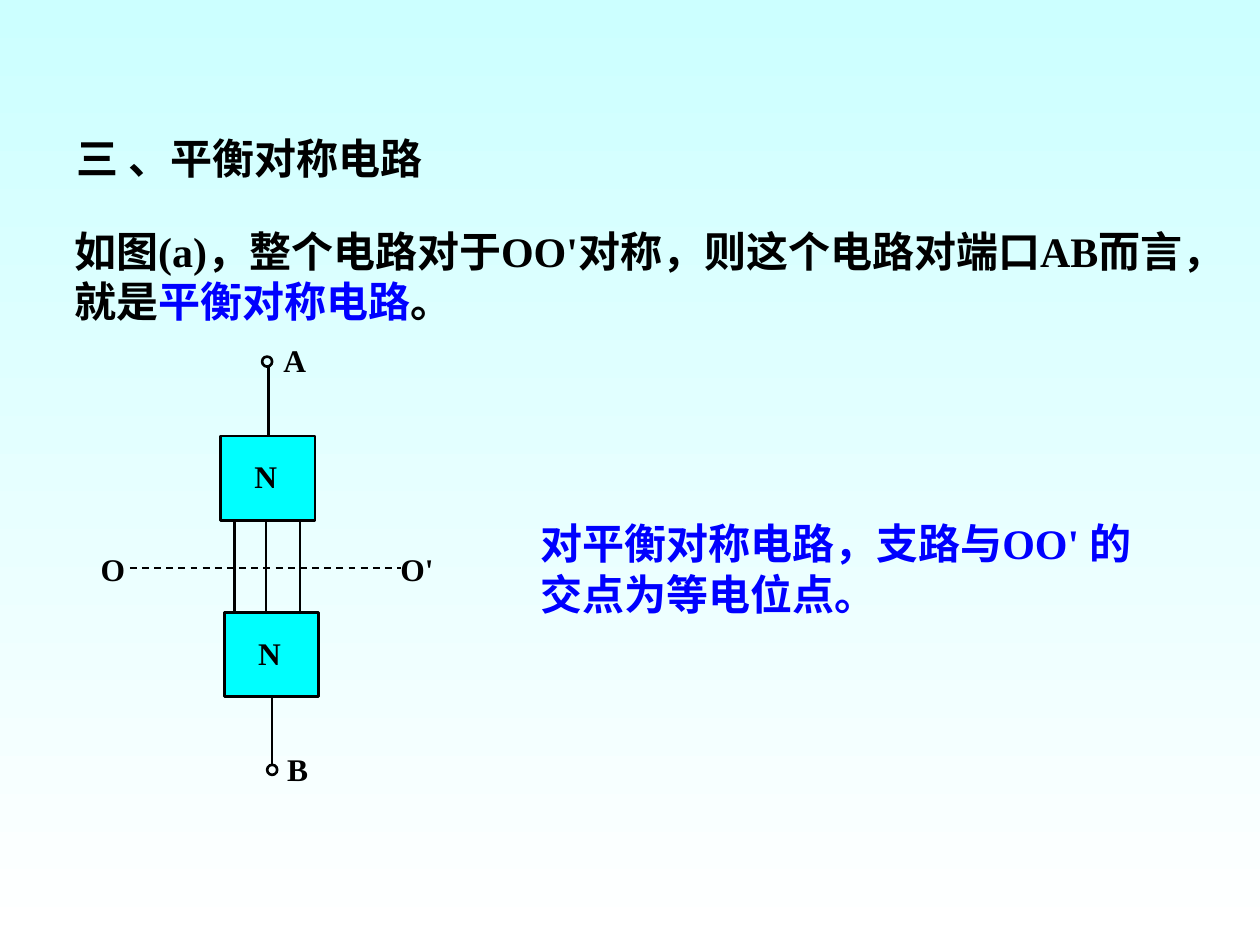
import pptx
import pptx.util
import pptx.dml.color
import pptx.enum.dml
import pptx.enum.shapes
import pptx.enum.text
import pptx.oxml
import pptx.oxml.ns

Inches = pptx.util.Inches
RGBColor = pptx.dml.color.RGBColor
SHAPE = pptx.enum.shapes.MSO_SHAPE

BLACK = RGBColor(0x00, 0x00, 0x00)
BLUE = RGBColor(0x00, 0x00, 0xFF)
CYAN = RGBColor(0x00, 0xFF, 0xFF)
PALE_CYAN = RGBColor(0xCC, 0xFF, 0xFF)
WHITE = RGBColor(0xFF, 0xFF, 0xFF)
FONT = "Times New Roman"


def write(para, text, size=24, color=BLACK):
    span = para.add_run()
    span.text = text
    span.font.name = FONT
    span.font.size = pptx.util.Pt(size)
    span.font.bold = True
    span.font.color.rgb = color


def add_text_box(shapes, left, top, width, height):
    """Add a wrapping text box and return its first paragraph."""
    box = shapes.add_textbox(Inches(left), Inches(top), Inches(width), Inches(height))
    box.text_frame.word_wrap = True
    return box.text_frame.paragraphs[0]


def add_label(shapes, text, left, top, width=0.46):
    write(add_text_box(shapes, left, top, width, 0.4), text, size=18)


def add_outlined(shapes, kind, left, top, width, height, fill=None):
    shape = shapes.add_shape(kind, Inches(left), Inches(top), Inches(width), Inches(height))
    shape.shadow.inherit = False
    if fill is None:
        shape.fill.background()
    else:
        shape.fill.solid()
        shape.fill.fore_color.rgb = fill
    shape.line.color.rgb = BLACK
    shape.line.width = pptx.util.Pt(1.5)


def add_line(shapes, start, end, width=1.5, dash=None):
    line = shapes.add_connector(
        pptx.enum.shapes.MSO_CONNECTOR.STRAIGHT,
        Inches(start[0]), Inches(start[1]), Inches(end[0]), Inches(end[1]))
    line.line.color.rgb = BLACK
    line.line.width = pptx.util.Pt(width)
    if dash is not None:
        line.line.dash_style = dash
    properties = line._element.find(pptx.oxml.ns.qn("p:spPr"))
    properties.append(pptx.oxml.parse_xml(
        "<a:effectLst %s/>" % pptx.oxml.ns.nsdecls("a")))


def paint_background(page):
    fill = page.background.fill
    fill.gradient()
    fill.gradient_angle = 270
    for stop, color in zip(fill.gradient_stops, (PALE_CYAN, WHITE)):
        stop.color.rgb = color


def place_title(page, left, top, width, height):
    title = page.shapes.title
    title.left, title.top = Inches(left), Inches(top)
    title.width, title.height = Inches(width), Inches(height)
    frame = title.text_frame
    frame.auto_size = pptx.enum.text.MSO_AUTO_SIZE.NONE
    frame.vertical_anchor = pptx.enum.text.MSO_ANCHOR.TOP
    para = frame.paragraphs[0]
    para.alignment = pptx.enum.text.PP_ALIGN.LEFT
    write(para, "三 、平衡对称电路")


def place_definition(page, left, top, width, height):
    para = add_text_box(page.shapes, left, top, width, height)
    write(para, "如图(a)，整个电路对于OO'对称，则这个电路对端口AB而言，就是")
    write(para, "平衡对称电路", color=BLUE)
    write(para, "。")


def place_conclusion(page, left, top, width, height):
    para = add_text_box(page.shapes, left, top, width, height)
    write(para, "对平衡对称电路，支路与OO' 的交点为等电位点。", color=BLUE)


def place_circuit(page, left, top):
    """Draw the two networks N, their ports and the symmetry axis OO'."""
    shapes = page.shapes.add_group_shape().shapes
    block_width, block_height, port = 0.75, 0.67, 0.08
    upper_top, lower_top = top + 0.8, top + 2.2
    upper_bottom, lower_bottom = upper_top + block_height, lower_top + block_height
    upper_port, lower_port = top + 0.17, top + 3.41
    axis = top + 1.85

    for block_left, block_top in ((left + 1.05, upper_top), (left + 1.08, lower_top)):
        add_outlined(shapes, SHAPE.RECTANGLE, block_left, block_top,
                     block_width, block_height, fill=CYAN)
        add_label(shapes, "N", block_left + 0.17, block_top + 0.12)

    add_line(shapes, (left + 1.43, upper_port + port), (left + 1.43, upper_top))
    add_line(shapes, (left + 1.46, lower_bottom), (left + 1.46, lower_port))
    for branch in (1.16, 1.41, 1.68):
        add_line(shapes, (left + branch, upper_bottom), (left + branch, lower_top))
    add_line(shapes, (left + 0.33, axis), (left + 2.48, axis), width=1,
             dash=pptx.enum.dml.MSO_LINE.DASH)

    add_outlined(shapes, SHAPE.OVAL, left + 1.38, upper_port, port, port)
    add_outlined(shapes, SHAPE.OVAL, left + 1.42, lower_port, port, port)
    add_label(shapes, "A", left + 1.45, top)
    add_label(shapes, "B", left + 1.48, top + 3.24)
    add_label(shapes, "O", left, axis - 0.19)
    add_label(shapes, "O'", left + 2.38, axis - 0.19, width=0.62)


def main():
    deck = pptx.Presentation()
    deck.slide_width, deck.slide_height = Inches(10), Inches(7.5)
    page = deck.slides.add_slide(deck.slide_layouts.get_by_name("Title Only"))
    paint_background(page)
    place_title(page, 0.51, 1, 9.1, 0.5)
    place_definition(page, 0.49, 1.74, 9.1, 0.9)
    place_circuit(page, 0.7, 2.66)
    place_conclusion(page, 4.19, 4.06, 4.96, 0.9)
    deck.save("out.pptx")


if __name__ == "__main__":
    main()
